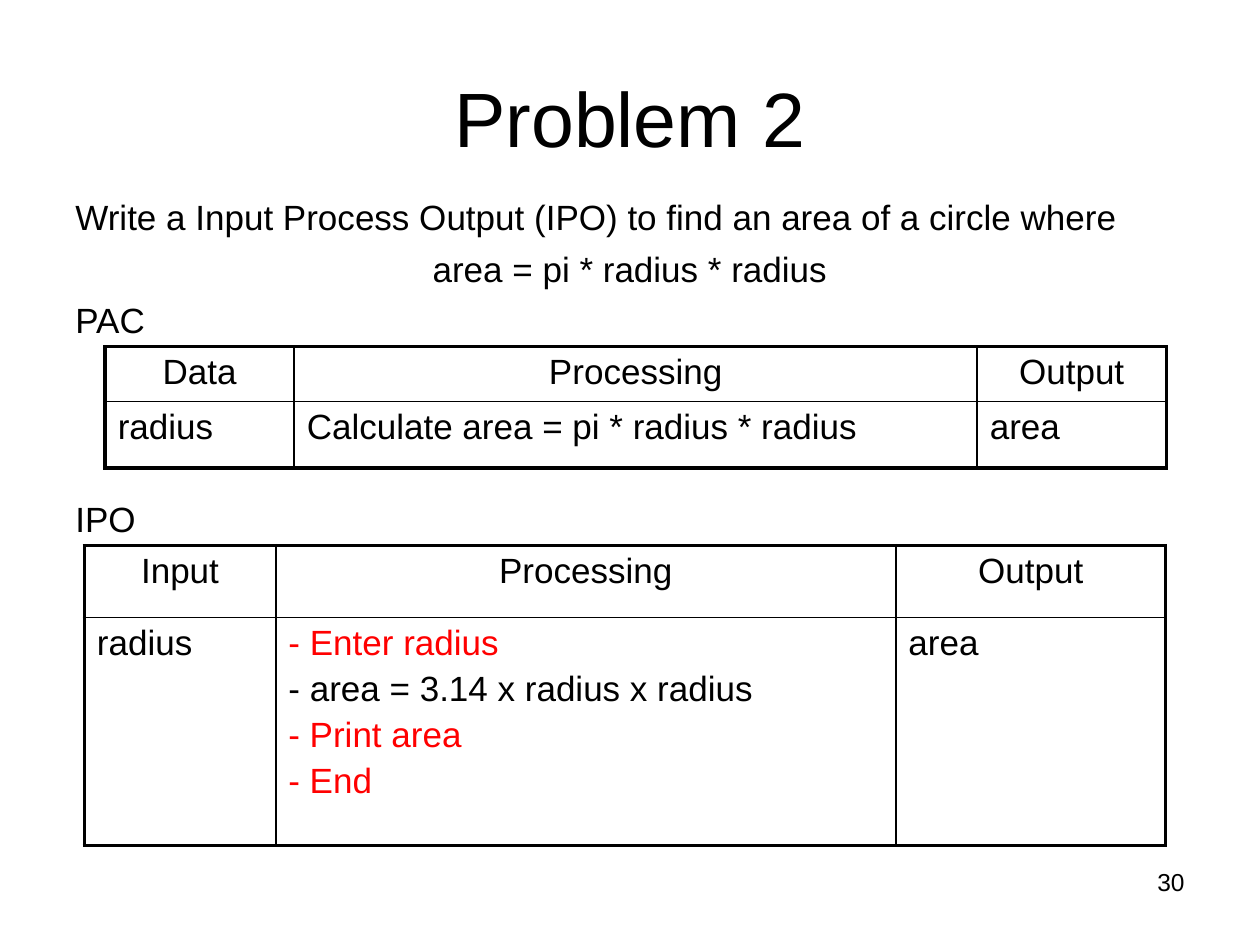
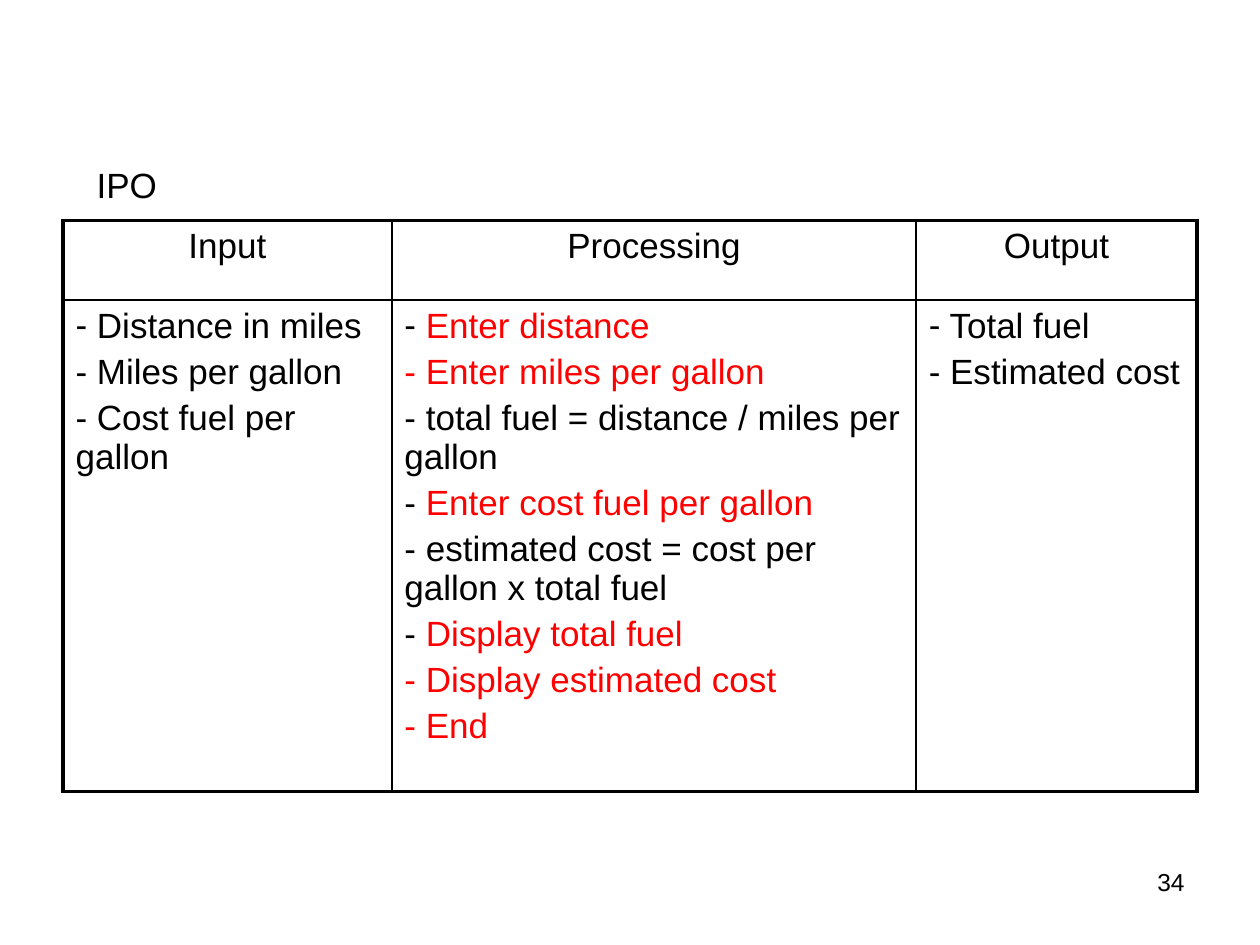
import lxml.etree
import pptx
import pptx.dml.color
import pptx.enum.text
import pptx.oxml.ns
import pptx.util

Cm = pptx.util.Cm
Pt = pptx.util.Pt
qn = pptx.oxml.ns.qn
ALIGN = pptx.enum.text.PP_ALIGN
ANCHOR = pptx.enum.text.MSO_ANCHOR

BLACK = pptx.dml.color.RGBColor(0x00, 0x00, 0x00)
RED = pptx.dml.color.RGBColor(0xFF, 0x00, 0x00)

FONT = "Arial"
TITLE_SIZE, TEXT_SIZE, NUMBER_SIZE = 44, 20, 14
BODY_GAP, CELL_GAP = 5.6, 4
OUTER_LINE, INNER_LINE = 2.25, 1

TITLE_BOX = (1.27, 0.76, 22.86, 3.18)
NUMBER_BOX = (18.21, 17.35, 5.92, 1.32)


def set_attrs(obj, values):
    for name, value in values.items():
        setattr(obj, name, value)


def cm_box(box):
    return [Cm(v) for v in box]


def red(text):
    return [(text, RED)]


def red_after_black_dash(text):
    return [(" ", BLACK), (text, RED)]


def write_paragraph(p, content, size=TEXT_SIZE, **paragraph_format):
    """Fill p with a plain string or a list of (text, colour) runs."""
    set_attrs(p, paragraph_format)
    runs = [(content, BLACK)] if isinstance(content, str) else content
    for text, color in runs:
        r = p.add_run()
        r.text = text
        set_attrs(r.font, {"name": FONT, "size": Pt(size)})
        r.font.color.rgb = color
    return p


def next_paragraph(tf, index):
    return tf.paragraphs[0] if index == 0 else tf.add_paragraph()


def add_dash_bullet(p):
    pPr = p._p.get_or_add_pPr()
    set_dash = {"marL": "0", "indent": "0"}
    for name, value in set_dash.items():
        pPr.set(name, value)
    lxml.etree.SubElement(pPr, qn("a:buFont"), typeface=FONT)
    lxml.etree.SubElement(pPr, qn("a:buChar"), char="-")


def add_text_box(s, box, wrap=True):
    tf = s.shapes.add_textbox(*cm_box(box)).text_frame
    tf.word_wrap = wrap
    return tf


def add_title(s, text):
    title = s.shapes.title
    set_attrs(title, dict(zip(("left", "top", "width", "height"), cm_box(TITLE_BOX))))
    title.text_frame.vertical_anchor = ANCHOR.MIDDLE
    write_paragraph(title.text_frame.paragraphs[0], text, TITLE_SIZE, alignment=ALIGN.CENTER)


def add_slide_number(s, number):
    tf = add_text_box(s, NUMBER_BOX)
    write_paragraph(tf.paragraphs[0], str(number), NUMBER_SIZE, alignment=ALIGN.RIGHT)


def set_borders(cell, outer_sides):
    tcPr = cell._tc.get_or_add_tcPr()
    for side in "LRTB":
        width = OUTER_LINE if side in outer_sides else INNER_LINE
        ln = lxml.etree.SubElement(tcPr, qn("a:ln" + side), w=str(Pt(width)))
        fill = lxml.etree.SubElement(ln, qn("a:solidFill"))
        lxml.etree.SubElement(fill, qn("a:srgbClr"), val=str(BLACK))


def fill_cell(cell, lines, alignment):
    """Write one paragraph per line; a line that opens with a space gets a dash bullet."""
    for i, line in enumerate(lines):
        p = write_paragraph(next_paragraph(cell.text_frame, i), line,
                            alignment=alignment, space_before=Pt(CELL_GAP))
        if p.text.startswith(" "):
            add_dash_bullet(p)


def add_chart_table(s, left, top, col_widths, row_heights, headers, columns):
    """Place a header row over one row whose cells hold the lists in columns."""
    box = (left, top, sum(col_widths), sum(row_heights))
    rows = [[[h] for h in headers], columns]
    table = s.shapes.add_table(len(rows), len(headers), *cm_box(box)).table
    set_attrs(table, {"first_row": False, "horz_banding": False})
    for col, width in zip(table.columns, col_widths):
        col.width = Cm(width)
    for row, height in zip(table.rows, row_heights):
        row.height = Cm(height)
    last_row, last_col = len(rows) - 1, len(headers) - 1
    for i, row in enumerate(rows):
        for j, lines in enumerate(row):
            cell = table.cell(i, j)
            edges = {"T": i == 0, "B": i == last_row, "L": j == 0, "R": j == last_col}
            set_borders(cell, [side for side, outer in edges.items() if outer])
            cell.fill.background()
            fill_cell(cell, lines, ALIGN.CENTER if i == 0 else ALIGN.LEFT)


def add_problem_text(s, box):
    tf = add_text_box(s, box)
    lines = [
        ("Write a Input Process Output (IPO) to find an area of a circle where",
         ALIGN.LEFT, BODY_GAP),
        ("area = pi * radius * radius", ALIGN.CENTER, BODY_GAP),
        ("PAC", ALIGN.LEFT, BODY_GAP),
        ("IPO", ALIGN.LEFT, 89.6),
    ]
    for i, (text, alignment, gap) in enumerate(lines):
        write_paragraph(next_paragraph(tf, i), text, alignment=alignment, space_before=Pt(gap))


def build_circle_slide(prs):
    s = prs.slides.add_slide(prs.slide_layouts[5])
    add_title(s, "Problem 2")
    add_problem_text(s, (1.27, 3.81, 22.86, 13.21))
    add_chart_table(
        s, 1.7, 11, (3.86, 12.5, 5.44), (1.45, 4.6),
        ("Input", "Processing", "Output"),
        [["radius"],
         [red("- Enter radius"), "- area = 3.14 x radius x radius",
          red(" Print area"), red(" End")],
         ["area"]])
    add_slide_number(s, 30)
    add_chart_table(
        s, 2.12, 6.99, (3.81, 13.77, 3.81), (1.1, 1.34),
        ("Data", "Processing", "Output"),
        [["radius"], ["Calculate area = pi * radius * radius"], ["area"]])


def build_fuel_slide(prs):
    s = prs.slides.add_slide(prs.slide_layouts[6])
    add_chart_table(
        s, 1.27, 4.45, (6.63, 10.57, 5.66), (1.6, 9.91),
        ("Input", "Processing", "Output"),
        [[" Distance in miles", " Miles per gallon", " Cost fuel per gallon"],
         [red_after_black_dash("Enter distance"),
          red(" Enter miles per gallon"),
          " total fuel = distance / miles per gallon",
          red_after_black_dash("Enter cost fuel per gallon"),
          " estimated cost = cost per gallon x total fuel",
          red_after_black_dash("Display total fuel"),
          red(" Display estimated cost"),
          red(" End")],
         [" Total fuel", " Estimated cost"]])
    add_slide_number(s, 34)
    write_paragraph(add_text_box(s, (1.7, 3.18, 1.73, 1.12), wrap=False).paragraphs[0], "IPO")


def main():
    prs = pptx.Presentation()
    set_attrs(prs, {"slide_width": Cm(25.4), "slide_height": Cm(19.05)})
    build_circle_slide(prs)
    build_fuel_slide(prs)
    prs.save("out.pptx")


if __name__ == "__main__":
    main()
